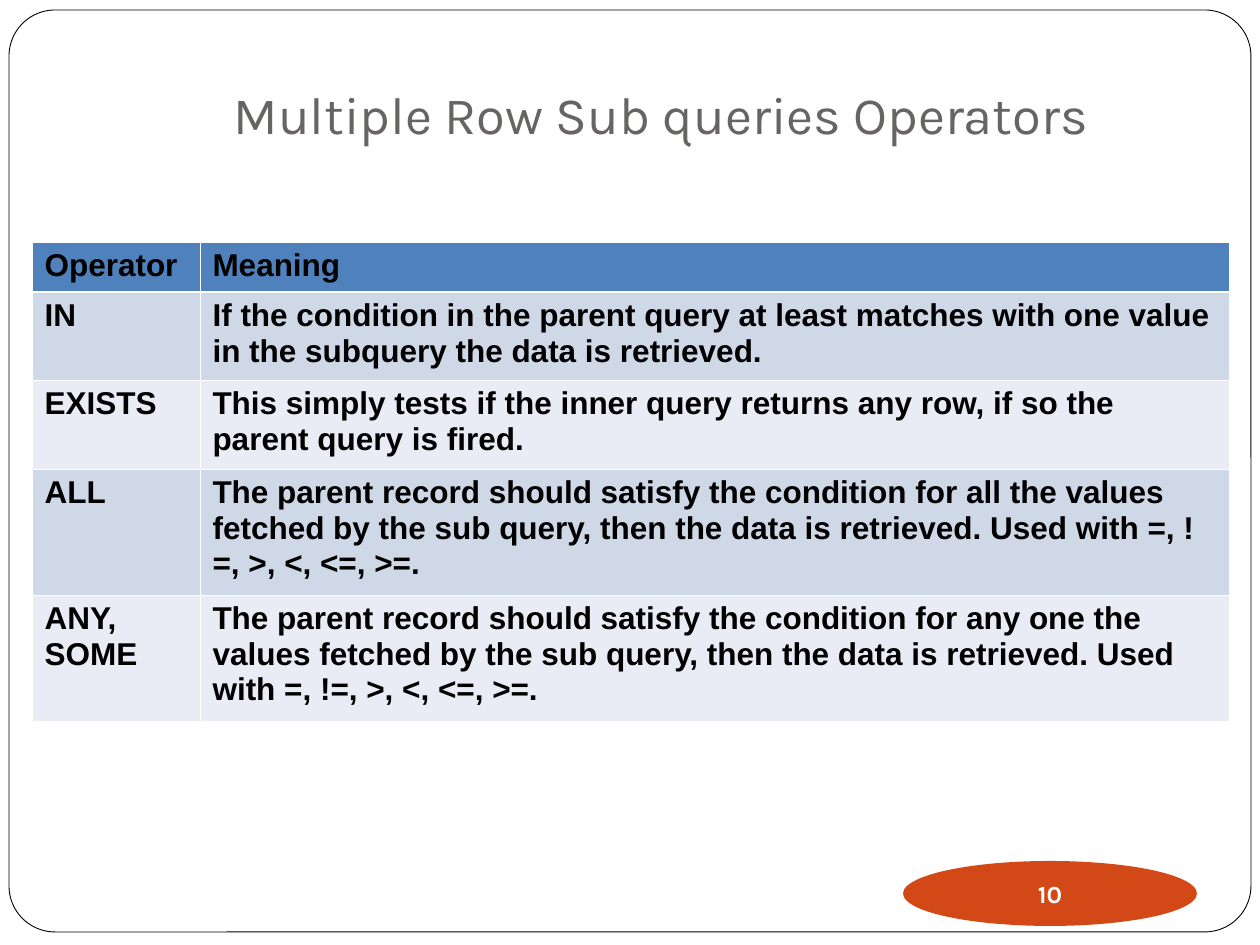
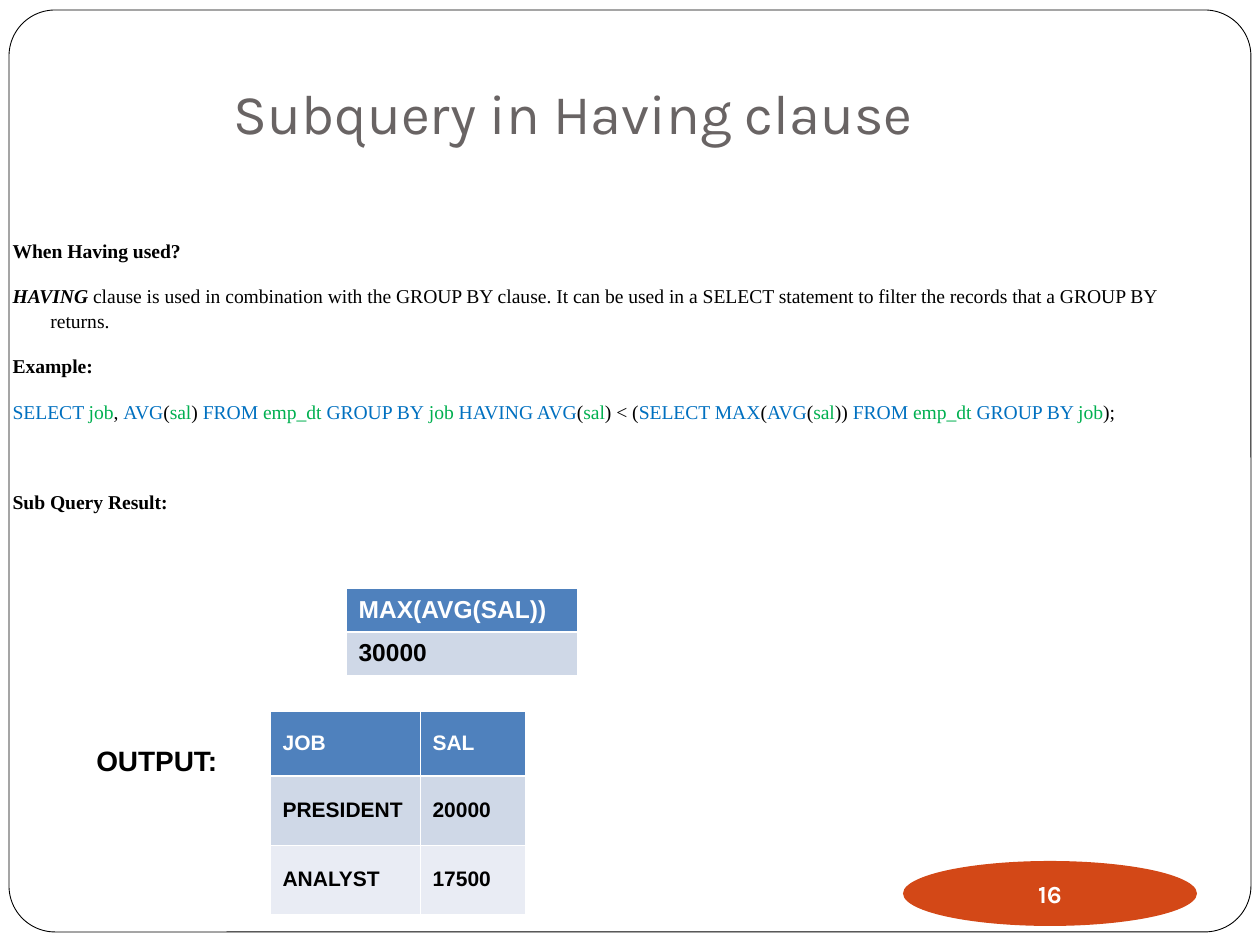
"""Build two lesson slides on SQL subqueries: operators and the HAVING clause."""
from dataclasses import dataclass
from typing import Any, NamedTuple

from lxml import etree
from pptx import Presentation
from pptx import util as u
from pptx.dml.color import RGBColor
from pptx.enum import shapes, text
from pptx.oxml.ns import qn

SCALE = u.Inches(1) / 126


@dataclass(frozen=True)
class Theme:
    white: str = "FFFFFF"
    ink: str = "000000"
    heading: str = "696464"
    badge: str = "D34817"
    header: str = "4F81BD"
    bands: tuple[str, str] = ("CFD8E7", "E9ECF4")
    keyword: str = "0070C0"
    column: str = "00B050"
    display: str = "Karla"
    sans: str = "Arial"
    serif: str = "Times New Roman"
    badge_size: float = 14
    label_size: float = 16
    body_size: float = 11.2
    hairline: float = 0.45
    header_rule: float = 1.47


THEME = Theme()


class Box(NamedTuple):
    left: int
    top: int
    width: int
    height: int


class Span(NamedTuple):
    words: str
    color: str = THEME.ink
    bold: bool = False
    italic: bool = False


@dataclass(frozen=True)
class Grid:
    left: int
    top: int
    columns: tuple[int, ...]
    heights: tuple[int, ...]
    rows: tuple[tuple[str, ...], ...]
    size: float
    header_ink: str = THEME.white
    anchor: Any = text.MSO_ANCHOR.MIDDLE


@dataclass(frozen=True)
class Passage:
    spans: tuple[Span, ...]
    before: float = 12


FRAME = Box(9, 10, 1242, 922)
TITLE = Box(221, 0, 1039, 158)
BADGE = Box(903, 861, 294, 65)
BODY = Box(0, 231, 1197, 262)
OUTPUT_LABEL = Box(84, 737, 189, 47)

OPERATORS = Grid(
    32, 242, (168, 1029), (50, 88, 89, 126, 126),
    (
        ("Operator", "Meaning"),
        ("IN", "If the condition in the parent query at least matches with one value "
               "in the subquery the data is retrieved."),
        ("EXISTS", "This simply tests if the inner query returns any row, if so the "
                   "parent query is fired."),
        ("ALL", "The parent record should satisfy the condition for all the values fetched "
                "by the sub query, then the data is retrieved. Used with =, !=, >, <, <=, >=."),
        ("ANY,\nSOME", "The parent record should satisfy the condition for any one the values "
                       "fetched by the sub query, then the data is retrieved. "
                       "Used with =, !=, >, <, <=, >=."),
    ),
    18, THEME.ink, text.MSO_ANCHOR.TOP,
)
SUBQUERY_RESULT = Grid(346, 588, (231,), (44, 43), (("MAX(AVG(SAL))",), ("30000",)), 14)
OUTPUT = Grid(
    270, 711, (150, 105), (65, 69, 69),
    (("JOB", "SAL"), ("PRESIDENT", "20000"), ("ANALYST", "17500")), 12,
)


def keyword(words: str) -> Span:
    return Span(words, THEME.keyword)


def column(words: str) -> Span:
    return Span(words, THEME.column)


QUERY = (
    keyword("SELECT "), column("job"), Span(", "), keyword("AVG"), Span("("), column("sal"),
    Span(") "), keyword("FROM "), column("emp_dt "), keyword("GROUP BY"), column(" job "),
    keyword("HAVING AVG"), Span("("), column("sal"), Span(") < ("), keyword("SELECT MAX"),
    Span("("), keyword("AVG"), Span("("), column("sal"), Span(")) "), keyword("FROM "),
    column("emp_dt "), keyword("GROUP BY "), column("job"), Span(");"),
)
HAVING_NOTES = (
    Passage((Span("When Having used?", bold=True),), 0),
    Passage((
        Span("HAVING", bold=True, italic=True),
        Span(" clause is used in combination with the GROUP BY clause. It can be used in a "
             "SELECT statement to filter the records that a GROUP BY returns."),
    )),
    Passage((Span("Example:", bold=True),)),
    Passage(QUERY),
    Passage((Span("Sub Query Result:", bold=True),), 37.5),
)


def px(length: float) -> u.Emu:
    return u.Emu(round(length * SCALE))


def apply(target: Any, values: dict[str, Any]) -> None:
    for key, value in values.items():
        setattr(target, key, value)


def style(font: Any, name: str, size: float, color: str, **values: Any) -> None:
    apply(font, {"name": name, "size": u.Pt(size), **values})
    font.color.rgb = RGBColor.from_string(color)


def place(shape: Any, box: Box) -> None:
    apply(shape, {side: px(length) for side, length in box._asdict().items()})


def add_plain_shape(slide: Any, kind: Any, box: Box, fill: str) -> Any:
    shape = slide.shapes.add_shape(kind, *map(px, box))
    shape.shadow.inherit = False
    shape.fill.solid()
    shape.fill.fore_color.rgb = RGBColor.from_string(fill)
    shape.line.fill.background()
    return shape


def add_master_frame(prs: Any, slide: Any) -> None:
    frame = add_plain_shape(slide, shapes.MSO_SHAPE.ROUNDED_RECTANGLE, FRAME, THEME.white)
    frame.adjustments[0] = 0.05
    frame.line.color.rgb = RGBColor.from_string(THEME.ink)
    frame.line.width = u.Pt(0.5)
    prs.slide_master.shapes._spTree.insert(2, frame._element)


def add_title(slide: Any, words: str, size: float) -> None:
    title = slide.shapes.title
    place(title, TITLE)
    title.text_frame.text = words
    apply(title.text_frame, {
        "vertical_anchor": text.MSO_ANCHOR.BOTTOM,
        "auto_size": text.MSO_AUTO_SIZE.NONE,
        "margin_bottom": u.Inches(0.1),
    })
    line = title.text_frame.paragraphs[0]
    line.alignment = text.PP_ALIGN.LEFT
    style(line.runs[0].font, THEME.display, size, THEME.heading)


def add_badge(slide: Any, number: int) -> None:
    badge = add_plain_shape(slide, shapes.MSO_SHAPE.OVAL, BADGE, THEME.badge)
    frame = badge.text_frame
    frame.text = str(number)
    apply(frame, {f"margin_{side}": 0 for side in ("left", "top", "right", "bottom")})
    apply(frame, {"word_wrap": False, "vertical_anchor": text.MSO_ANCHOR.MIDDLE})
    line = frame.paragraphs[0]
    line.alignment = text.PP_ALIGN.CENTER
    style(line.runs[0].font, THEME.display, THEME.badge_size, THEME.white, bold=True)


def add_borders(cell: Any, row: int) -> None:
    heavy = {0: "lnB", 1: "lnT"}.get(row)
    properties = cell._tc.get_or_add_tcPr()
    for index, side in enumerate(("lnL", "lnR", "lnT", "lnB")):
        width = THEME.header_rule if side == heavy else THEME.hairline
        border = etree.Element(qn(f"a:{side}"), w=str(u.Pt(width)))
        fill = etree.SubElement(border, qn("a:solidFill"))
        etree.SubElement(fill, qn("a:srgbClr"), val=THEME.white)
        properties.insert(index, border)


def add_grid(slide: Any, grid: Grid) -> None:
    box = Box(grid.left, grid.top, sum(grid.columns), sum(grid.heights))
    table = slide.shapes.add_table(
        len(grid.heights), len(grid.columns), *map(px, box)
    ).table
    for table_column, width in zip(table.columns, grid.columns):
        table_column.width = px(width)
    for row, (height, entries) in enumerate(zip(grid.heights, grid.rows)):
        table.rows[row].height = px(height)
        fill = THEME.bands[(row - 1) % 2] if row else THEME.header
        ink = THEME.ink if row else grid.header_ink
        for cell, entry in zip(table.rows[row].cells, entries):
            cell.text = entry
            cell.vertical_anchor = grid.anchor
            cell.fill.solid()
            cell.fill.fore_color.rgb = RGBColor.from_string(fill)
            add_borders(cell, row)
            for line in cell.text_frame.paragraphs:
                style(line.runs[0].font, THEME.sans, grid.size, ink, bold=True)


def add_passages(slide: Any, passages: tuple[Passage, ...]) -> None:
    body = slide.placeholders[1]
    place(body, BODY)
    frame = body.text_frame
    apply(frame, {
        "auto_size": text.MSO_AUTO_SIZE.NONE,
        "vertical_anchor": text.MSO_ANCHOR.TOP,
    })
    for index, passage in enumerate(passages):
        line = frame.add_paragraph() if index else frame.paragraphs[0]
        properties = line._p.get_or_add_pPr()
        indent = u.Inches(0.3)
        properties.set("marL", str(indent))
        properties.set("indent", str(-indent))
        etree.SubElement(properties, qn("a:buNone"))
        apply(line, {"space_before": u.Pt(passage.before), "line_spacing": 1.05})
        for span in passage.spans:
            run = line.add_run()
            run.text = span.words
            style(run.font, THEME.serif, THEME.body_size, span.color,
                  bold=span.bold, italic=span.italic)


def add_label(slide: Any, words: str, box: Box) -> None:
    frame = slide.shapes.add_textbox(*map(px, box)).text_frame
    frame.text = words
    frame.word_wrap = True
    style(frame.paragraphs[0].runs[0].font, THEME.sans, THEME.label_size, THEME.ink, bold=True)


def add_slide(prs: Any, layout: int, title: str, size: float, number: int) -> Any:
    slide = prs.slides.add_slide(prs.slide_layouts[layout])
    add_title(slide, title, size)
    add_badge(slide, number)
    return slide


def main() -> None:
    prs = Presentation()
    prs.slide_width, prs.slide_height = u.Inches(10), u.Inches(7.5)

    operators = add_slide(prs, 5, "Multiple Row Sub queries Operators", 30, 10)
    add_master_frame(prs, operators)
    add_grid(operators, OPERATORS)

    having = add_slide(prs, 1, "Subquery in Having clause", 32, 16)
    add_passages(having, HAVING_NOTES)
    add_grid(having, SUBQUERY_RESULT)
    add_grid(having, OUTPUT)
    add_label(having, "OUTPUT:", OUTPUT_LABEL)

    prs.save("out.pptx")


if __name__ == "__main__":
    main()
